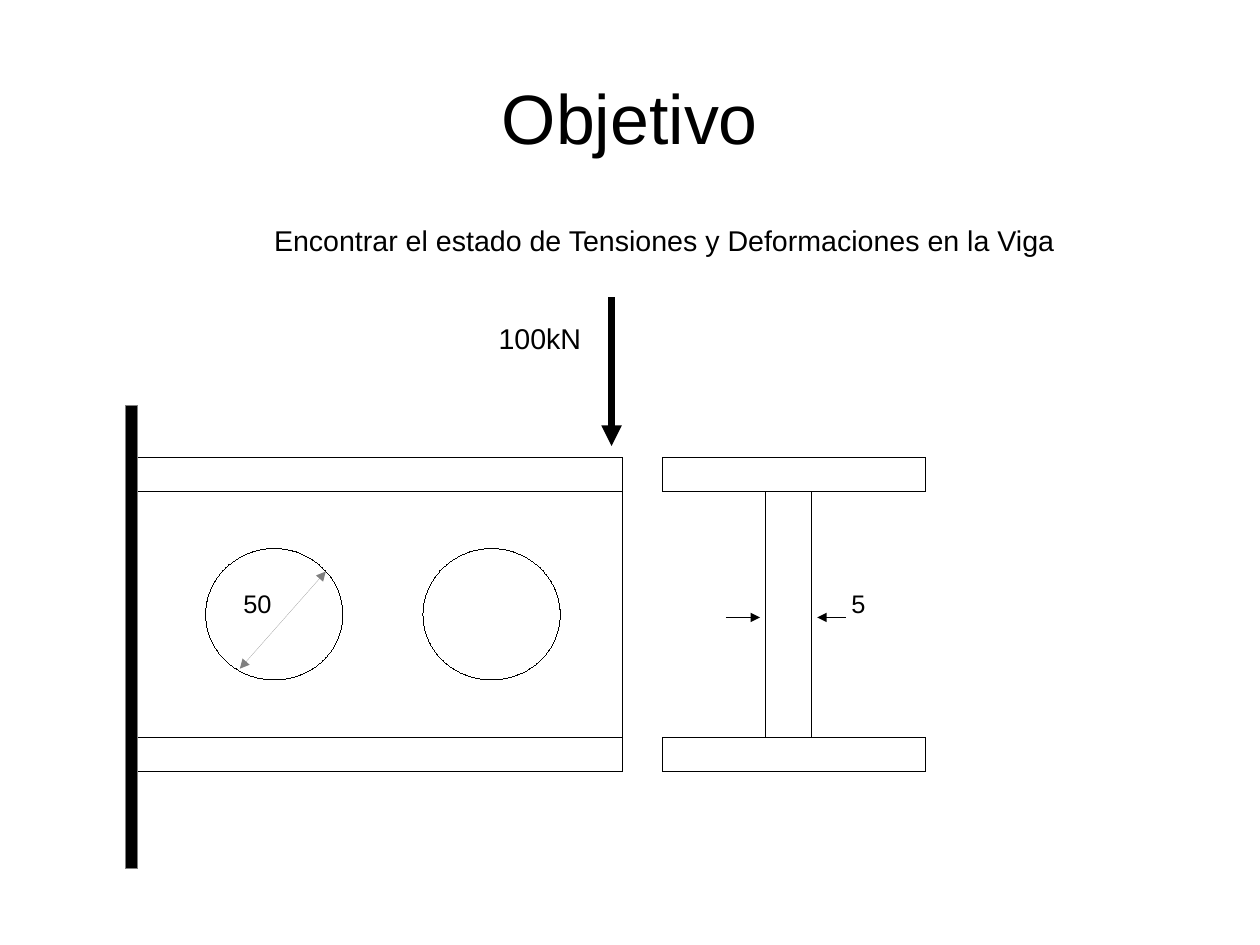
"""Build the slide stating the beam problem: side view, cross-section and load."""
import pptx
import pptx.util
import pptx.dml.color
import pptx.enum.shapes
import pptx.enum.text
import pptx.oxml.ns
from lxml import etree

Cm, Pt = pptx.util.Cm, pptx.util.Pt
RGB = pptx.dml.color.RGBColor
MSO = pptx.enum.shapes.MSO_SHAPE
ALIGN = pptx.enum.text.PP_ALIGN
ANCHOR = pptx.enum.text.MSO_ANCHOR
FIT = pptx.enum.text.MSO_AUTO_SIZE
qn = pptx.oxml.ns.qn

THEME = {
    "font": "Arial",
    "ink": RGB(0, 0, 0),
    "paper": RGB(255, 255, 255),
    "grey": RGB(128, 128, 128),
    "title": Pt(44),
    "body": Pt(18),
    "dimension": Pt(16),
    "hairline": Pt(0.01),
    "load": Pt(4.31),
}

prs = pptx.Presentation()
prs.slide_width, prs.slide_height = Cm(28), Cm(21)
s = prs.slides.add_slide(prs.slide_layouts[6])


def add_outline(kind, box, fill="paper", line="ink"):
    sp = s.shapes.add_shape(kind, *map(Cm, box))
    sp.shadow.inherit = False
    sp.fill.solid()
    sp.fill.fore_color.rgb = THEME[fill]
    sp.line.color.rgb = THEME[line]
    sp.line.width = THEME["hairline"]


flange, web, top = 0.76, 5.46, 10.16
web_top = top + flange
bottom = web_top + web
members = [
    {"flange": (3.05, 10.79), "web": (3.05, 10.79)},
    {"flange": (14.73, 5.84), "web": (17.02, 1.02)},
]
for m in members:
    left, width = m["web"]
    add_outline(MSO.RECTANGLE, (left, web_top, width, web))
    left, width = m["flange"]
    for y in (top, bottom):
        add_outline(MSO.RECTANGLE, (left, y, width, flange))

for left in (4.57, 9.4):
    add_outline(MSO.OVAL, (left, 12.19, 3.05, 2.92))

add_outline(MSO.RECTANGLE, (2.79, 9.02, 0.26, 10.29), "ink", "grey")

arrows = [
    ((5.33, 14.86, 7.24, 12.7), "grey", "hairline", ("headEnd", "tailEnd")),
    ((16.13, 13.72, 16.89, 13.72), "ink", "hairline", ("tailEnd",)),
    ((18.8, 13.72, 18.16, 13.72), "ink", "hairline", ("tailEnd",)),
    ((13.59, 6.6, 13.59, 9.91), "ink", "load", ("tailEnd",)),
]
for ends, color, width, heads in arrows:
    c = s.shapes.add_connector(pptx.enum.shapes.MSO_CONNECTOR.STRAIGHT, *map(Cm, ends))
    c.line.color.rgb = THEME[color]
    c.line.width = THEME[width]
    ln = c.line._get_or_add_ln()
    for head in heads:
        etree.SubElement(ln, qn("a:" + head), type="triangle")
    etree.SubElement(c._element.spPr, qn("a:effectLst"))

inset = {"margin_left": Cm(0.25), "margin_right": Cm(0.25),
         "margin_top": Cm(0.13), "margin_bottom": Cm(0.13)}
tight = dict.fromkeys(inset, Cm(0))
wide = {"margin_left": Cm(0.41), "margin_right": Cm(0.41),
        "margin_top": Cm(0.28), "margin_bottom": Cm(0.28)}
label = {"word_wrap": False, "auto_size": FIT.SHAPE_TO_FIT_TEXT}
texts = [
    ("Objetivo", (1.4, 0.84, 25.2, 3.51), "title", ALIGN.CENTER,
     {**tight, "word_wrap": True, "vertical_anchor": ANCHOR.MIDDLE}),
    ("Encontrar el estado de Tensiones y Deformaciones en la Viga",
     (5.84, 4.83, 22.1, 0.97), "body", ALIGN.LEFT, {**inset, "word_wrap": True}),
    ("50", (5.16, 12.95, 1.2, 0.89), "dimension", ALIGN.LEFT, {**inset, **label}),
    ("5", (18.67, 12.95, 0.82, 0.89), "dimension", ALIGN.LEFT, {**inset, **label}),
    ("100kN", (10.67, 6.86, 2.72, 1.27), "body", ALIGN.LEFT, {**wide, **label}),
]
for text, box, size, align, frame in texts:
    tf = s.shapes.add_textbox(*map(Cm, box)).text_frame
    for name, value in frame.items():
        setattr(tf, name, value)
    p = tf.paragraphs[0]
    p.alignment = align
    r = p.add_run()
    r.text = text
    for name, value in {"name": THEME["font"], "size": THEME[size]}.items():
        setattr(r.font, name, value)
    r.font.color.rgb = THEME["ink"]

prs.save("out.pptx")
